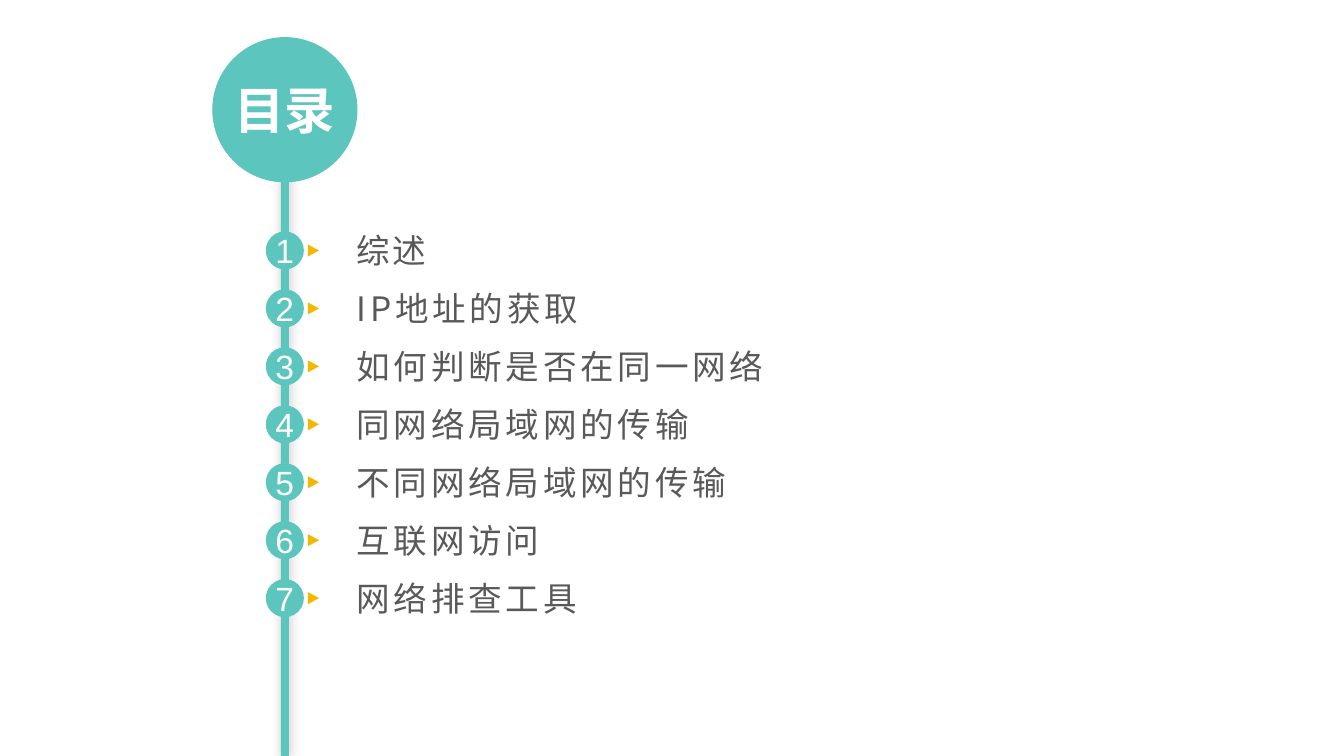
"""Builds a contents slide with numbered items along a vertical rail."""
from dataclasses import dataclass

from lxml.etree import SubElement
from pptx import Presentation
from pptx.dml.color import RGBColor
from pptx.enum.shapes import MSO_SHAPE
from pptx.enum.text import MSO_ANCHOR, MSO_AUTO_SIZE, PP_ALIGN
from pptx.oxml.ns import qn
from pptx.util import Pt


@dataclass(frozen=True)
class Theme:
    teal: str = "5CC5BE"
    amber: str = "F2B800"
    white: str = "FFFFFF"
    gray: str = "595959"
    latin: str = "Arial"
    cjk: str = "Noto Sans CJK SC"
    title_size: float = 27
    item_size: float = 18


THEME = Theme()
ITEMS = [
    "综述",
    "IP地址的获取",
    "如何判断是否在同一网络",
    "同网络局域网的传输",
    "不同网络局域网的传输",
    "互联网访问",
    "网络排查工具",
]
SLIDE_W, SLIDE_H = 720, 405
RAIL_X, RAIL_W = 152.6, 4.3
TITLE_Y, TITLE_D = 58.8, 77.8
FIRST_Y, PITCH = 134.2, 31.04
BADGE_D = 20.4
ARROW_X, ARROW_W, ARROW_H = 167.9, 6.5, 6
LABEL_X, LABEL_W, LABEL_H = 191, 315.4, 26


def set_text(s, text, *, font=THEME.cjk, size=THEME.item_size, color=THEME.white,
             bold=False, align=PP_ALIGN.LEFT, spacing=0):
    tf = s.text_frame
    tf.auto_size = MSO_AUTO_SIZE.NONE
    tf.word_wrap = True
    tf.vertical_anchor = MSO_ANCHOR.MIDDLE
    tf.margin_left = tf.margin_right = tf.margin_top = tf.margin_bottom = Pt(0)
    p = tf.paragraphs[0]
    p.alignment = align
    r = p.add_run()
    r.text = text
    r.font.name, r.font.size, r.font.bold = font, Pt(size), bold
    r.font.color.rgb = RGBColor.from_string(color)
    rpr = r.font._element
    SubElement(rpr, qn("a:ea"), typeface=font)
    if spacing:
        rpr.set("spc", str(round(spacing * 100)))


def add_shape(sp, kind, cx, cy, w, h, color):
    s = sp.add_shape(kind, Pt(cx - w / 2), Pt(cy - h / 2), Pt(w), Pt(h))
    s.shadow.inherit = False
    s.fill.solid()
    s.fill.fore_color.rgb = RGBColor.from_string(color)
    s.line.fill.background()
    return s


def add_rail(sp):
    top = 56.2
    s = add_shape(sp, MSO_SHAPE.RECTANGLE, RAIL_X, (top + SLIDE_H) / 2,
                  RAIL_W, SLIDE_H - top, THEME.teal)
    effects = s._element.spPr.find(qn("a:effectLst"))
    shadow = SubElement(effects, qn("a:outerShdw"), blurRad=str(Pt(6)),
                        dist="0", dir="13500000", rotWithShape="0")
    color = SubElement(shadow, qn("a:srgbClr"), val="000000")
    SubElement(color, qn("a:alpha"), val="20000")


def add_title(sp, text):
    add_shape(sp, MSO_SHAPE.OVAL, RAIL_X, TITLE_Y, TITLE_D, TITLE_D, THEME.teal)
    s = sp.title
    s.left, s.top = Pt(RAIL_X - TITLE_D / 2), Pt(TITLE_Y - TITLE_D / 2)
    s.width = s.height = Pt(TITLE_D)
    set_text(s, text, size=THEME.title_size, bold=True, align=PP_ALIGN.CENTER)
    sp._spTree.append(s._element)


def add_item(sp, number, text, y):
    badge = add_shape(sp, MSO_SHAPE.OVAL, RAIL_X, y, BADGE_D, BADGE_D, THEME.teal)
    set_text(badge, str(number), font=THEME.latin, align=PP_ALIGN.CENTER)
    label = sp.add_textbox(Pt(LABEL_X), Pt(y - LABEL_H / 2), Pt(LABEL_W), Pt(LABEL_H))
    set_text(label, text, color=THEME.gray, spacing=1.5 if number == 1 else 2)
    arrow = add_shape(sp, MSO_SHAPE.ISOSCELES_TRIANGLE, ARROW_X, y,
                      ARROW_W, ARROW_H, THEME.amber)
    arrow.rotation = 90


def main():
    prs = Presentation()
    prs.slide_width, prs.slide_height = Pt(SLIDE_W), Pt(SLIDE_H)
    sp = prs.slides.add_slide(prs.slide_layouts[5]).shapes
    add_rail(sp)
    add_title(sp, "目录")
    for i, text in enumerate(ITEMS):
        add_item(sp, i + 1, text, FIRST_Y + i * PITCH)
    prs.save("out.pptx")


if __name__ == "__main__":
    main()
